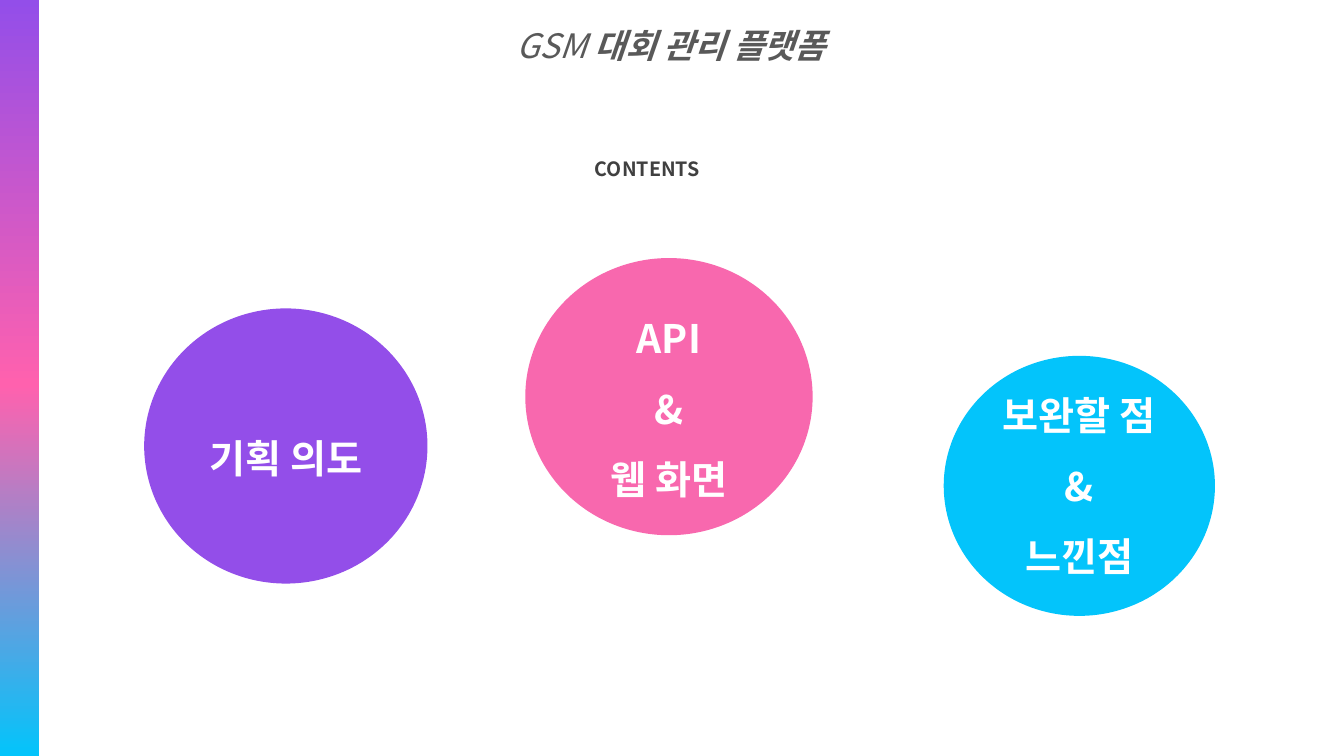
from lxml import etree
from pptx import Presentation
from pptx.dml.color import RGBColor
from pptx.enum.shapes import MSO_SHAPE
from pptx.enum.text import MSO_ANCHOR, PP_ALIGN
from pptx.oxml.ns import qn
from pptx.util import Inches, Pt

OVAL, BAR = MSO_SHAPE.OVAL, MSO_SHAPE.RECTANGLE
CENTER, MIDDLE = PP_ALIGN.CENTER, MSO_ANCHOR.MIDDLE
FONT = "Noto Sans CJK KR"
WHITE = RGBColor(0xFF, 0xFF, 0xFF)
TITLE_GRAY = RGBColor(0x59, 0x59, 0x59)
HEADING_GRAY = RGBColor(0x40, 0x40, 0x40)
PURPLE = RGBColor(0x93, 0x4E, 0xE9)
PINK = RGBColor(0xF8, 0x68, 0xAE)
BAR_PINK = RGBColor(0xFF, 0x61, 0xAE)
CYAN = RGBColor(0x03, 0xC4, 0xFB)
WIDTH, HEIGHT = 13.33, 7.5
TOPICS = [
    ((1.43, 3.06, 2.81, 2.73), PURPLE, ["기획 의도"], 0.05),
    ((9.36, 3.53, 2.69, 2.58), CYAN, ["보완할 점", "&", "느낀점"], 0.29),
    ((5.21, 2.56, 2.85, 2.75), PINK, ["API", "&", "웹 화면"], 0.05),
]


def inches(area):
    """Turn left, top, width and height into lengths."""
    return [Inches(length) for length in area]


def style_paragraph(para, size, color, bold=None, italic=None):
    """Centre a paragraph and give it its font."""
    para.alignment, para.line_spacing = CENTER, 1.5
    font = para.font
    font.name, font.size, font.bold, font.italic = FONT, Pt(size), bold, italic
    font.color.rgb = color
    properties = para._p.pPr.find(qn("a:defRPr"))
    etree.SubElement(properties, qn("a:ea"), typeface=FONT)


def add_text(page, area, spans, size, color, italic=None):
    """Add one centred line made of (text, bold) spans."""
    frame = page.shapes.add_textbox(*inches(area)).text_frame
    frame.word_wrap = True
    para = frame.paragraphs[0]
    style_paragraph(para, size, color, italic=italic)
    for text, bold in spans:
        span = para.add_run()
        span.text, span.font.bold = text, bold


def add_plain_shape(page, kind, area):
    """Add a preset shape without line or shadow."""
    shape = page.shapes.add_shape(kind, *inches(area))
    shape.shadow.inherit = False
    shape.line.fill.background()
    return shape


def add_topic(page, area, color, lines, bottom_inset):
    """Add a coloured oval with one paragraph per line."""
    oval = add_plain_shape(page, OVAL, area)
    oval.fill.solid()
    oval.fill.fore_color.rgb = color
    frame = oval.text_frame
    frame.word_wrap, frame.vertical_anchor = True, MIDDLE
    frame.margin_bottom = Inches(bottom_inset)
    frame.text = "\n".join(lines)
    for para in frame.paragraphs:
        style_paragraph(para, 28, WHITE, bold=True)


def add_gradient_bar(page, area, stops):
    """Add a bar whose colours run from top to bottom."""
    bar = add_plain_shape(page, BAR, area)
    bar.fill.gradient()
    gradient = bar._element.spPr.find(qn("a:gradFill"))
    stop_list = gradient.find(qn("a:gsLst"))
    for old_stop in list(stop_list):
        stop_list.remove(old_stop)
    for percent, color in stops:
        stop = etree.SubElement(stop_list, qn("a:gs"), pos=str(percent * 1000))
        etree.SubElement(stop, qn("a:srgbClr"), val=str(color))
    gradient.find(qn("a:lin")).set("ang", str(90 * 60000))


def main():
    """Build the contents slide."""
    deck = Presentation()
    deck.slide_width, deck.slide_height = Inches(WIDTH), Inches(HEIGHT)
    page = deck.slides.add_slide(deck.slide_layouts[6])
    add_text(page, (4.43, 1.39, 3.98, 0.41), [("CONTENTS", True)], 14, HEADING_GRAY)
    add_text(page, (3.64, 0, 6.03, 0.63),
             [("GSM ", False), ("대회 관리 플랫폼", True)], 24, TITLE_GRAY, italic=True)
    for topic in TOPICS:
        add_topic(page, *topic)
    add_gradient_bar(page, (0, 0, 0.39, HEIGHT),
                     [(0, PURPLE), (51, BAR_PINK), (100, CYAN)])
    deck.save("out.pptx")


if __name__ == "__main__":
    main()
